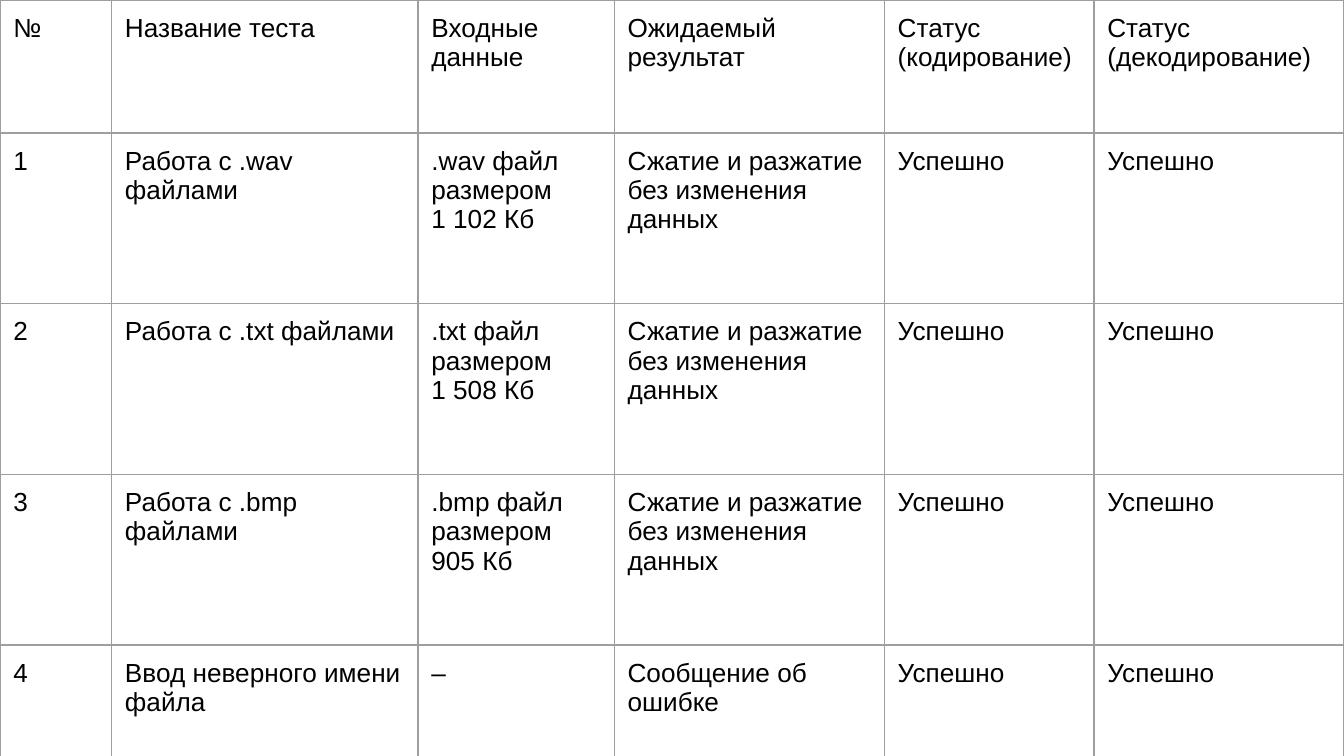
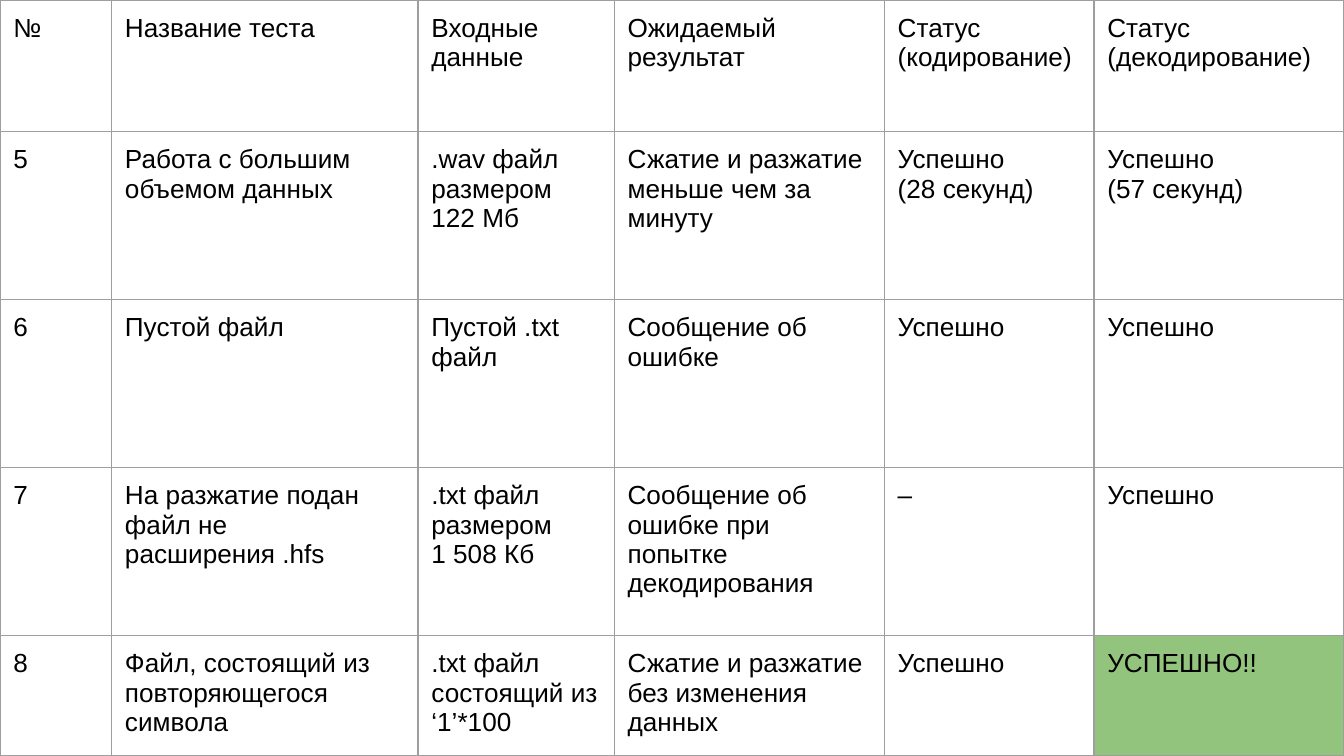
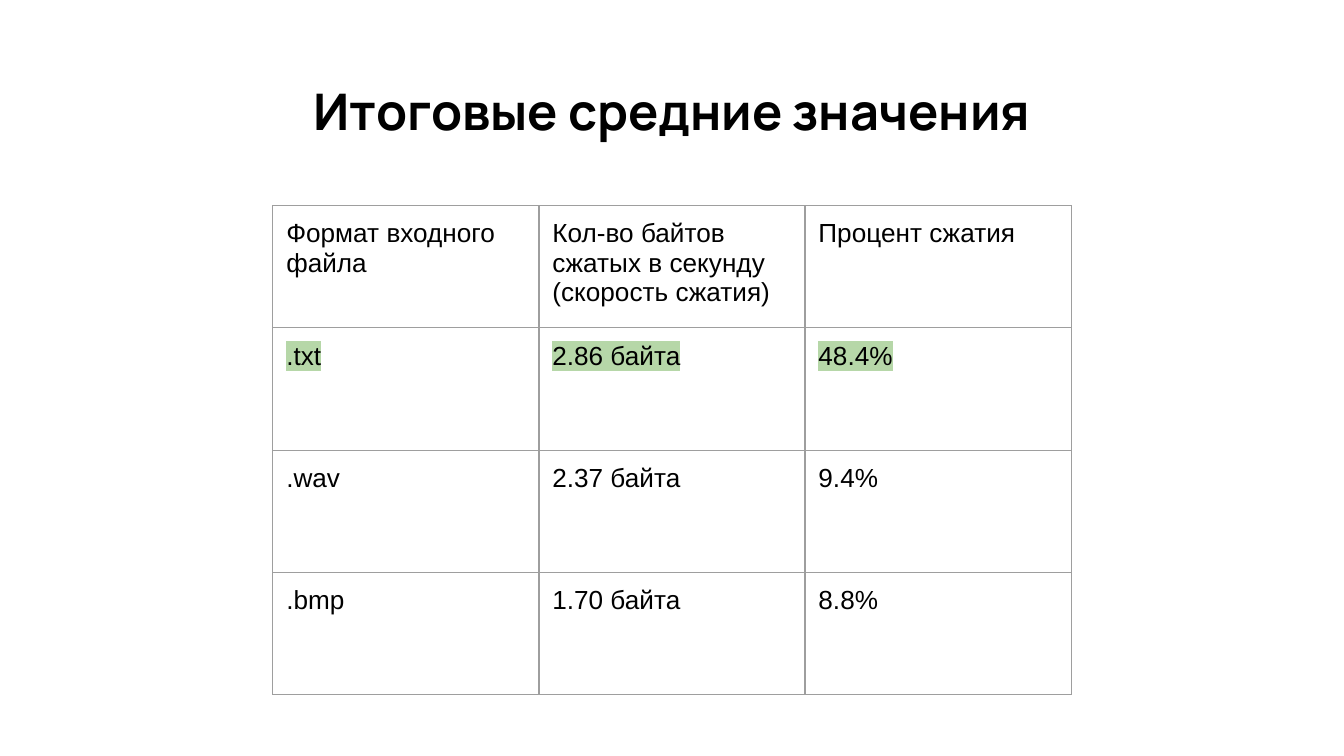
import pptx
import pptx.util
import pptx.dml.color
import pptx.enum.text
import pptx.oxml
import pptx.oxml.ns
from dataclasses import dataclass

Inches = pptx.util.Inches
Pt = pptx.util.Pt


@dataclass(frozen=True)
class Theme:
    ink: str = "000000"
    paper: str = "FFFFFF"
    grid: str = "9E9E9E"
    good: str = "93C47D"
    mark: str = "B6D7A8"
    head_font: str = "Manrope"
    body_font: str = "Arial"
    head_size: float = 27
    body_size: float = 14
    line: float = 0.75
    inset: float = 0.1


def color(code):
    return pptx.dml.color.RGBColor.from_string(code)


class Deck:
    def __init__(self, theme):
        self.theme = theme
        self.file = pptx.Presentation()
        # Wide 16:9 page
        self.file.slide_width = Inches(10)
        self.file.slide_height = Inches(10) * 9 // 16
        self.slide = None

    def page(self, layout):
        self.slide = self.file.slides.add_slide(self.file.slide_layouts[layout])
        fill = self.slide.background.fill
        fill.solid()
        fill.fore_color.rgb = color(self.theme.paper)

    def style(self, part, font, size, bold=False, mark=None):
        for run in part.runs:
            run.font.size = Pt(size)
            run.font.bold = bold
            run.font.name = font
            run.font.color.rgb = color(self.theme.ink)
            if mark:
                self.shade(run, mark)

    def shade(self, run, code):
        # The highlight element must follow the text fill
        space = pptx.oxml.ns.nsdecls("a")
        node = pptx.oxml.parse_xml(
            f'<a:highlight {space}><a:srgbClr val="{code}"/></a:highlight>')
        fill = run.font._element.find(pptx.oxml.ns.qn("a:solidFill"))
        fill.addnext(node)

    def title(self, text, left, top, width, height):
        box = self.slide.shapes.title
        box.left, box.top = Inches(left), Inches(top)
        box.width, box.height = Inches(width), Inches(height)
        frame = box.text_frame
        frame.text = text
        frame.auto_size = pptx.enum.text.MSO_AUTO_SIZE.NONE
        frame.vertical_anchor = pptx.enum.text.MSO_ANCHOR.MIDDLE
        self.pad(frame)
        part = frame.paragraphs[0]
        part.alignment = pptx.enum.text.PP_ALIGN.CENTER
        self.style(part, self.theme.head_font, self.theme.head_size, bold=True)

    def pad(self, item):
        gap = Inches(self.theme.inset)
        item.margin_left = item.margin_right = gap
        item.margin_top = item.margin_bottom = gap

    def border(self, cell):
        props = cell._tc.get_or_add_tcPr()
        space = pptx.oxml.ns.nsdecls("a")
        for side in "LRTB":
            props.append(pptx.oxml.parse_xml(
                f'<a:ln{side} {space} w="{Pt(self.theme.line)}"><a:solidFill>'
                f'<a:srgbClr val="{self.theme.grid}"/></a:solidFill></a:ln{side}>'))

    def table(self, left, top, cols, rows, data, fills=None, marks=None):
        """fills maps (row, column) to a cell colour, marks a row to a highlight."""
        fills, marks = fills or {}, marks or {}
        grid = self.slide.shapes.add_table(
            len(rows), len(cols), Inches(left), Inches(top),
            Inches(sum(cols)), Inches(sum(rows))).table
        grid.first_row = grid.horz_banding = False
        for col, width in zip(grid.columns, cols):
            col.width = Inches(width)
        for row, height in zip(grid.rows, rows):
            row.height = Inches(height)
        for y, line in enumerate(data):
            for x, text in enumerate(line):
                self.cell(grid.cell(y, x), text, fills.get((y, x)), marks.get(y))

    def cell(self, cell, text, fill, mark):
        self.pad(cell)
        self.border(cell)
        if fill:
            cell.fill.solid()
            cell.fill.fore_color.rgb = color(fill)
        else:
            cell.fill.background()
        part = cell.text_frame.paragraphs[0]
        part.text = text
        self.style(part, self.theme.body_font, self.theme.body_size, mark=mark)


# Wording shared by the test tables
HEAD = ["№", "Название теста", "Входные данные", "Ожидаемый результат",
        "Статус (кодирование)", "Статус (декодирование)"]
COLS = [0.83, 2.28, 1.46, 2.01, 1.56, 1.86]
SAME = "Сжатие и разжатие без изменения данных"
FAIL = "Сообщение об ошибке"
DONE = "Успешно"

BASIC = [
    HEAD,
    ["1", "Работа с .wav файлами", ".wav файл размером \n1 102 Кб", SAME, DONE, DONE],
    ["2", "Работа с .txt файлами", ".txt файл размером \n1 508 Кб", SAME, DONE, DONE],
    ["3", "Работа с .bmp файлами", ".bmp файл размером \n905 Кб", SAME, DONE, DONE],
    ["4", "Ввод неверного имени файла", "–", FAIL, DONE, DONE],
]
EDGE = [
    HEAD,
    ["5", "Работа с большим объемом данных", ".wav файл размером \n122 Мб",
     "Сжатие и разжатие меньше чем за минуту",
     DONE + "\n(28 секунд)", DONE + "\n(57 секунд)"],
    ["6", "Пустой файл", "Пустой .txt файл", FAIL, DONE, DONE],
    ["7", "На разжатие подан файл не расширения .hfs",
     ".txt файл размером \n1 508 Кб",
     FAIL + " при попытке декодирования", "–", DONE],
    ["8", "Файл, состоящий из повторяющегося символа",
     ".txt файл состоящий из ‘1’*100", SAME, DONE, "УСПЕШНО!!"],
]
MEANS = [
    ["Формат входного файла", "Кол-во байтов сжатых в секунду (скорость сжатия)",
     "Процент сжатия"],
    [".txt", "2.86 байта", "48.4%"],
    [".wav", "2.37 байта", "9.4%"],
    [".bmp", "1.70 байта", "8.8%"],
]
ONLY, BLANK = 5, 6


def main():
    theme = Theme()
    deck = Deck(theme)

    # Tests 1 to 4
    deck.page(BLANK)
    deck.table(0, 0, COLS, [0.99] + [1.27] * 3 + [0.83], BASIC)

    # Tests 5 to 8
    deck.page(BLANK)
    deck.table(0, 0, COLS, [0.98] + [1.25] * 3 + [0.89], EDGE,
               fills={(4, 5): theme.good})

    # Mean values
    deck.page(ONLY)
    deck.title("Итоговые средние значения", 0.34, 0.48, 9.32, 0.68)
    deck.table(2.03, 1.53, [1.98] * 3, [0.91] * 4, MEANS, marks={1: theme.mark})

    deck.file.save("out.pptx")


if __name__ == "__main__":
    main()
